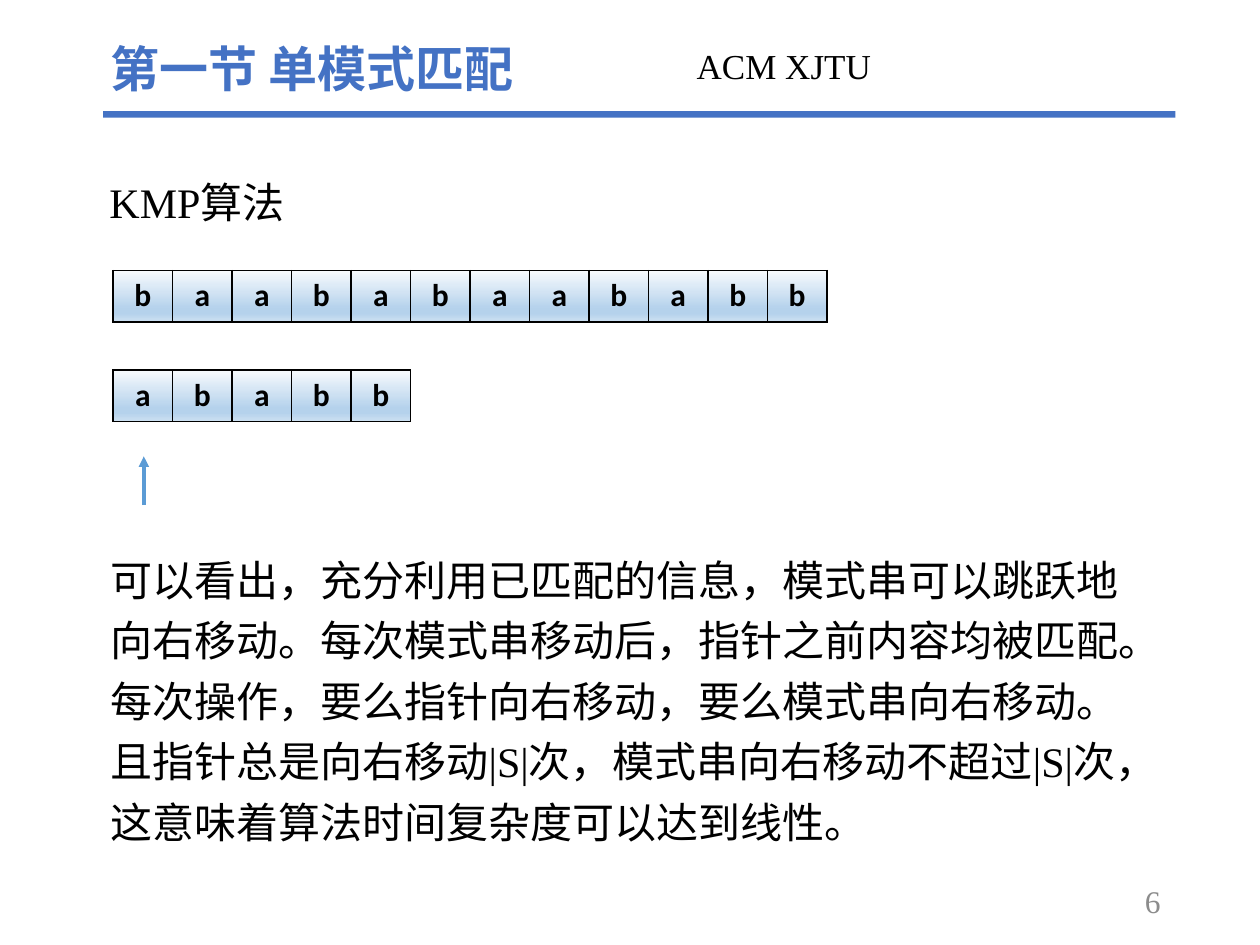
from dataclasses import dataclass

from lxml import etree
from pptx import Presentation
from pptx import util as u
from pptx.dml.color import RGBColor
from pptx.enum import shapes, text
from pptx.oxml import parse_xml
from pptx.oxml.ns import nsdecls, qn
from pptx.slide import Slide

BLACK = RGBColor(0x00, 0x00, 0x00)
GRAY = RGBColor(0x8C, 0x8C, 0x8C)
BLUE = RGBColor(0x44, 0x72, 0xC4)
ARROW_BLUE = RGBColor(0x5B, 0x9B, 0xD5)
CELL_GRADIENT = (
    (0, RGBColor(0xF7, 0xFA, 0xFD)),
    (74, RGBColor(0xB5, 0xD2, 0xEC)),
    (83, RGBColor(0xB5, 0xD2, 0xEC)),
    (100, RGBColor(0xCE, 0xE1, 0xF2)),
)
SERIF = "Times New Roman"
CELL_WIDTH, CELL_HEIGHT = 34, 29.5
STRINGS_LEFT = 64.7


@dataclass(frozen=True)
class Label:
    content: str
    left: float
    top: float
    width: float
    height: float
    size: float
    font: str = SERIF
    color: RGBColor = BLACK
    bold: bool = False
    line_spacing: float = 1.0
    align: text.PP_ALIGN = text.PP_ALIGN.LEFT
    anchor: text.MSO_ANCHOR = text.MSO_ANCHOR.TOP


@dataclass(frozen=True)
class StringRow:
    letters: str
    top: float


LABELS = (
    Label("第一节 单模式匹配", 56.2, 18.7, 314.6, 41, 28,
          font="Noto Sans CJK SC", color=BLUE, bold=True),
    Label("ACM XJTU", 391, 24.5, 180.7, 37.4, 20, line_spacing=0.9),
    Label("KMP算法", 55.5, 91.4, 593.3, 38.9, 24, line_spacing=1.2),
    Label("可以看出，充分利用已匹配的信息，模式串可以跳跃地向右移动。"
          "每次模式串移动后，指针之前内容均被匹配。"
          "每次操作，要么指针向右移动，要么模式串向右移动。"
          "且指针总是向右移动|S|次，模式串向右移动不超过|S|次，"
          "这意味着算法时间复杂度可以达到线性。",
          56.2, 307.4, 593.3, 181.4, 24, line_spacing=1.2),
    Label("6", 508.3, 500.4, 162, 28.8, 18, color=GRAY,
          align=text.PP_ALIGN.RIGHT, anchor=text.MSO_ANCHOR.MIDDLE),
)
STRING_ROWS = (StringRow("baababaababb", 154.6), StringRow("ababb", 211.5))


def add_label(slide: Slide, label: Label) -> None:
    box = slide.shapes.add_textbox(u.Pt(label.left), u.Pt(label.top),
                                   u.Pt(label.width), u.Pt(label.height))
    frame = box.text_frame
    frame.word_wrap = True
    frame.vertical_anchor = label.anchor
    paragraph = frame.paragraphs[0]
    paragraph.text = label.content
    paragraph.alignment = label.align
    paragraph.line_spacing = label.line_spacing
    paragraph.font.name = label.font
    paragraph.font.size = u.Pt(label.size)
    paragraph.font.bold = label.bold
    paragraph.font.color.rgb = label.color


def style_cell(cell) -> None:
    """Give a cell black borders and the vertical gradient."""
    properties = cell._tc.get_or_add_tcPr()
    for side in ("lnL", "lnR", "lnT", "lnB"):
        properties.append(parse_xml(
            f'<a:{side} {nsdecls("a")} w="{u.Pt(1)}"><a:solidFill>'
            f'<a:srgbClr val="{BLACK}"/></a:solidFill></a:{side}>'))
    stops = "".join(
        f'<a:gs pos="{position * 1000}"><a:srgbClr val="{color}"/></a:gs>'
        for position, color in CELL_GRADIENT)
    properties.append(parse_xml(
        f'<a:gradFill {nsdecls("a")}><a:gsLst>{stops}</a:gsLst>'
        '<a:lin ang="5400000" scaled="0"/></a:gradFill>'))


def add_string_row(slide: Slide, row: StringRow) -> None:
    count = len(row.letters)
    table = slide.shapes.add_table(
        1, count, u.Pt(STRINGS_LEFT), u.Pt(row.top),
        u.Pt(CELL_WIDTH * count), u.Pt(CELL_HEIGHT)).table
    table.first_row = table.horz_banding = False
    for column, letter in enumerate(row.letters):
        table.columns[column].width = u.Pt(CELL_WIDTH)
        cell = table.cell(0, column)
        style_cell(cell)
        paragraph = cell.text_frame.paragraphs[0]
        paragraph.text = letter
        paragraph.alignment = text.PP_ALIGN.CENTER
        paragraph.font.name = "Calibri"
        paragraph.font.size = u.Pt(18)
        paragraph.font.bold = True
        paragraph.font.color.rgb = BLACK


def add_pointer(slide: Slide, x: float, start: float, end: float) -> None:
    pointer = slide.shapes.add_connector(
        shapes.MSO_CONNECTOR.STRAIGHT, u.Pt(x), u.Pt(start), u.Pt(x), u.Pt(end))
    pointer.line.color.rgb = ARROW_BLUE
    pointer.line.width = u.Pt(2)
    etree.SubElement(pointer.line._get_or_add_ln(), qn("a:tailEnd"), type="triangle")
    etree.SubElement(pointer._element.spPr, qn("a:effectLst"))


def main() -> None:
    presentation = Presentation()
    presentation.slide_width, presentation.slide_height = u.Pt(720), u.Pt(540)
    slide = presentation.slides.add_slide(presentation.slide_layouts[6])

    # Rule under the heading
    rule = slide.shapes.add_shape(shapes.MSO_SHAPE.RECTANGLE, u.Pt(59),
                                  u.Pt(63.5), u.Pt(612.7), u.Pt(3.7))
    rule.shadow.inherit = False
    rule.fill.solid()
    rule.fill.fore_color.rgb = BLUE
    rule.line.fill.background()

    # Heading, explanation and page number
    for label in LABELS:
        add_label(slide, label)

    # Searched string, pattern and the matching pointer
    for row in STRING_ROWS:
        add_string_row(slide, row)
    add_pointer(slide, 82.2, 288.7, 260.8)

    presentation.save("out.pptx")


if __name__ == "__main__":
    main()
